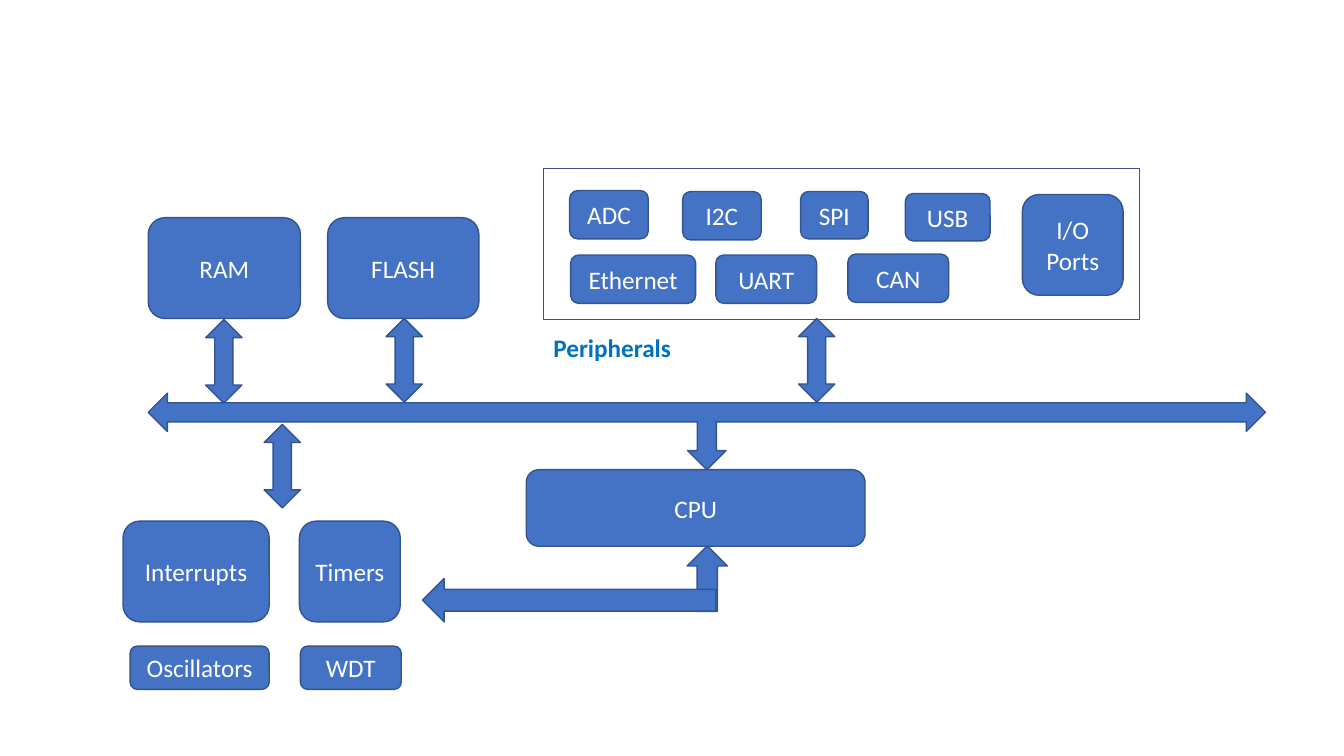
"""Build a block diagram of a microcontroller with its bus, memory and peripherals."""
from pptx import Presentation
from pptx.dml.color import RGBColor
from pptx.enum import shapes, text
from pptx.util import Inches, Pt

BLUE = RGBColor(0x44, 0x72, 0xC4)
OUTLINE = RGBColor(0x32, 0x54, 0x91)
LABEL_BLUE = RGBColor(0x00, 0x70, 0xC0)
WHITE = RGBColor(0xFF, 0xFF, 0xFF)
FONT = "Calibri"
FONT_SIZE = Pt(18)
KIND = shapes.MSO_SHAPE

BLOCKS = [
    ("CPU", 5.22, 4.66, 3.36, 0.76),
    ("RAM", 1.47, 2.16, 1.51, 1),
    ("FLASH", 3.25, 2.16, 1.5, 1),
    ("Interrupts", 1.22, 5.17, 1.45, 1),
    ("Timers", 2.97, 5.17, 1, 1),
    ("Oscillators", 1.29, 6.41, 1.38, 0.43),
    ("WDT", 2.98, 6.41, 1, 0.43),
    ("ADC", 5.65, 1.89, 0.78, 0.48),
    ("I2C", 6.77, 1.9, 0.78, 0.48),
    ("SPI", 7.94, 1.9, 0.67, 0.47),
    ("USB", 8.98, 1.92, 0.84, 0.47),
    ("Ethernet", 5.66, 2.53, 1.24, 0.48),
    ("UART", 7.1, 2.53, 1, 0.48),
    ("CAN", 8.41, 2.52, 1, 0.48),
    ("I/O Ports", 10.14, 1.93, 1, 1),
]
PERIPHERALS_FRAME = (5.39, 1.67, 5.91, 1.5)
PERIPHERALS_LABEL = ("Peripherals", 5.39, 3.25, 1.38, 0.4)
BUS = (1.47, 3.9, 11.08, 0.76)
BUS_LINKS = [(2.04, 3.17), (3.83, 3.16), (7.92, 3.16), (2.62, 4.21)]
LINK_SIZE = (0.36, 0.83)
CPU_ARROW = (6.69, 5.54, 0.65, 0.4)
TIMERS_ARROW = (5.43, 4.5, 0.43, 2.91)


def add_outlined(slide, kind, box, fill=BLUE, rotation=0):
    """Add a preset shape with the diagram's outline and an optional fill."""
    shape = slide.shapes.add_shape(kind, *map(Inches, box))
    shape.shadow.inherit = False
    shape.rotation = rotation
    shape.line.color.rgb = OUTLINE
    shape.line.width = Pt(1)
    if fill is None:
        shape.fill.background()
    else:
        shape.fill.solid()
        shape.fill.fore_color.rgb = fill
    return shape


def write(shape, wording, color, alignment, bold=False):
    """Put one formatted paragraph into a shape."""
    shape.text_frame.text = wording
    paragraph = shape.text_frame.paragraphs[0]
    paragraph.alignment = alignment
    font = paragraph.runs[0].font
    font.name, font.size, font.bold = FONT, FONT_SIZE, bold
    font.color.rgb = color


def main():
    """Draw the diagram and save the presentation."""
    presentation = Presentation()
    presentation.slide_width = Inches(13.33)
    presentation.slide_height = Inches(7.5)
    slide = presentation.slides.add_slide(presentation.slide_layouts[6])

    add_outlined(slide, KIND.RECTANGLE, PERIPHERALS_FRAME, fill=None)
    for wording, *box in BLOCKS:
        block = add_outlined(slide, KIND.ROUNDED_RECTANGLE, box)
        block.text_frame.word_wrap = True
        block.text_frame.vertical_anchor = text.MSO_ANCHOR.MIDDLE
        write(block, wording, WHITE, text.PP_ALIGN.CENTER)

    add_outlined(slide, KIND.LEFT_RIGHT_UP_ARROW, BUS, rotation=180)
    for position in BUS_LINKS:
        add_outlined(slide, KIND.UP_DOWN_ARROW, position + LINK_SIZE)
    add_outlined(slide, KIND.RIGHT_ARROW, CPU_ARROW, rotation=270)
    add_outlined(slide, KIND.DOWN_ARROW, TIMERS_ARROW, rotation=90)

    wording, *box = PERIPHERALS_LABEL
    label = slide.shapes.add_textbox(*map(Inches, box))
    label.text_frame.word_wrap = False
    label.text_frame.auto_size = text.MSO_AUTO_SIZE.SHAPE_TO_FIT_TEXT
    write(label, wording, LABEL_BLUE, text.PP_ALIGN.LEFT, bold=True)

    presentation.save("out.pptx")


if __name__ == "__main__":
    main()
